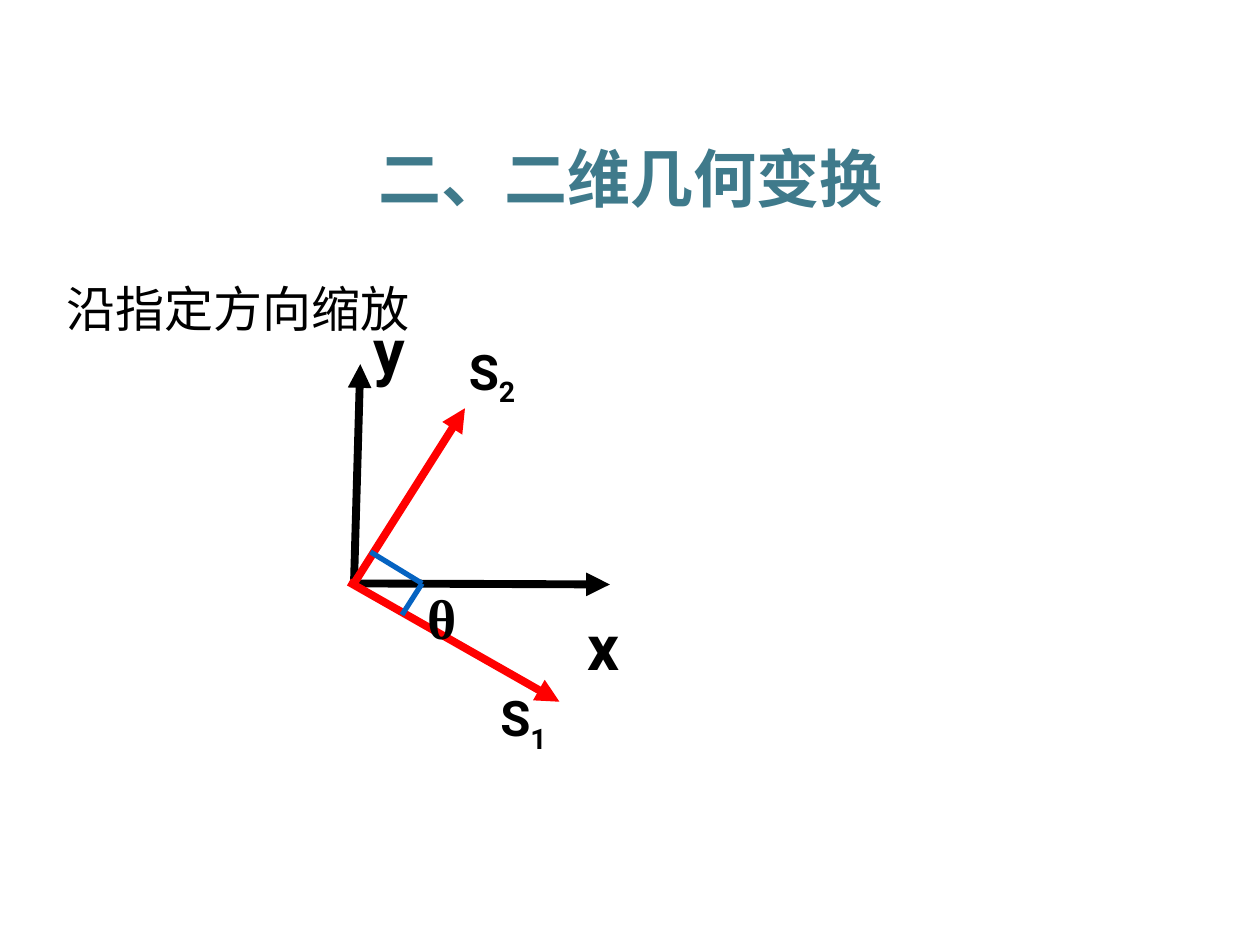
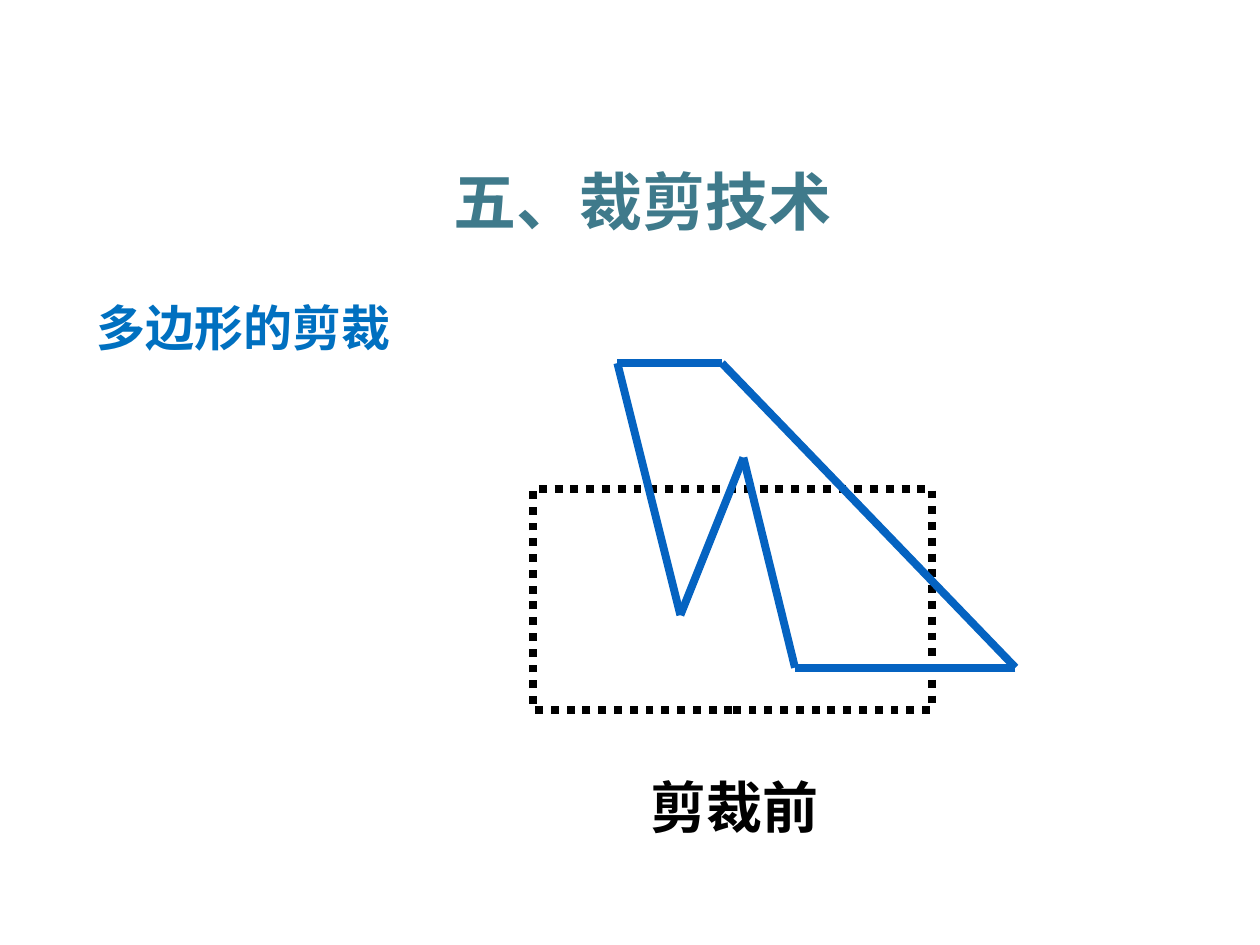
import itertools

import lxml.etree
import pptx
import pptx.dml.color
import pptx.enum.dml
import pptx.enum.shapes
import pptx.enum.text
import pptx.oxml.ns
import pptx.util

Pt = pptx.util.Pt
qn = pptx.oxml.ns.qn
ALIGN = pptx.enum.text.PP_ALIGN
ANCHOR = pptx.enum.text.MSO_ANCHOR

BLACK, RED, BLUE = "000000", "FF0000", "0563C1"
TITLE_COLOUR, HEADING_BLUE = "3F7A8B", "0070C0"
CJK, LATIN, SERIF, SANS = "Noto Sans CJK SC", "Roboto", "Times New Roman", "Arial"
THICK, THIN = 4.5, 3


def rgb(colour):
    """Turn a hex string into a colour."""
    return pptx.dml.color.RGBColor.from_string(colour)


def add_text(slide, box, text, size, font=CJK, colour=BLACK, bold=True, align=ALIGN.LEFT,
             anchor=ANCHOR.MIDDLE, wrap=True, inset=True, spacing=None, subscript=""):
    """Add one paragraph of text, with an optional subscript after it."""
    frame = slide.shapes.add_textbox(*map(Pt, box)).text_frame
    frame.word_wrap = wrap
    frame.vertical_anchor = anchor
    if not inset:
        frame.margin_left = frame.margin_right = frame.margin_top = frame.margin_bottom = 0
    paragraph = frame.paragraphs[0]
    paragraph.alignment = align
    if spacing:
        paragraph.line_spacing = spacing
    paragraph.add_run().text = text
    if subscript:
        lowered = paragraph.add_run()
        lowered.text = subscript
        lowered.font.bold = bold
        lowered._r.get_or_add_rPr().set("baseline", "-25000")
    paragraph.font.size = Pt(size)
    paragraph.font.bold = bold
    paragraph.font.color.rgb = rgb(colour)
    paragraph.font.name = font
    defaults = paragraph._p.pPr.find(qn("a:defRPr"))
    lxml.etree.SubElement(defaults, qn("a:ea")).set("typeface", CJK)


def add_line(slide, box, start, end, colour, width, arrow=False):
    """Draw a line between two points of a box, with an optional arrowhead at its end."""
    left, top = box[:2]
    line = slide.shapes.add_connector(
        pptx.enum.shapes.MSO_CONNECTOR.STRAIGHT,
        Pt(left + start[0]), Pt(top + start[1]), Pt(left + end[0]), Pt(top + end[1]))
    line.line.color.rgb = rgb(colour)
    line.line.width = Pt(width)
    if arrow:
        head = lxml.etree.SubElement(line.line._get_or_add_ln(), qn("a:tailEnd"))
        head.set("type", "triangle")
    lxml.etree.SubElement(line._element.spPr, qn("a:effectLst"))


def add_chapter_title(slide, box, title):
    """Write the centred chapter title."""
    add_text(slide, box, title, 36, colour=TITLE_COLOUR, align=ALIGN.CENTER)


def add_heading(slide, box, heading, **style):
    """Write the heading of the topic under the chapter title."""
    add_text(slide, box, heading, 28, spacing=1.2, **style)


def draw_scaling_axes(slide, box):
    """Draw the coordinate axes with the two rotated scaling directions."""
    left, top = box[:2]
    origin, s1_start = (2.3, 155.4), (-0.6, 154.6)
    arrows = [
        (origin, (5.9, 30.1), BLACK),
        (origin, (148.5, 156), BLACK),
        (origin, (65.7, 55.3), RED),
        (s1_start, (119.7, 223), RED),
    ]
    for start, tip, colour in arrows:
        add_line(slide, box, start, tip, colour, THICK, arrow=True)

    labels = [
        ("x", "", 36, (134, 169, 21.6, 43.2)),
        ("y", "", 36, (11.7, 0, 21, 43.2)),
        ("S", "2", 28, (66.4, 19.3, 29.5, 33.8)),
        ("S", "1", 28, (84.4, 217.3, 29.5, 33.8)),
    ]
    for letter, index, size, (x, y, width, height) in labels:
        add_text(slide, (left + x, top + y, width, height), letter, size, LATIN,
                 align=ALIGN.CENTER, wrap=False, inset=False, subscript=index)
    add_text(slide, (left + 37, top + 152, 46.8, 45.4), "θ", 32, SERIF,
             anchor=ANCHOR.TOP, wrap=False)

    right_angle = [(11.7, 137.4), (41.2, 155.4), (29.7, 173.4)]
    for start, end in itertools.pairwise(right_angle):
        add_line(slide, box, start, end, BLUE, THIN)


def draw_clipping(slide, box):
    """Draw the dotted clipping window, the polygon over it and the caption."""
    left, top = box[:2]
    window = slide.shapes.add_shape(
        pptx.enum.shapes.MSO_SHAPE.RECTANGLE, Pt(left), Pt(top + 72), Pt(228), Pt(126))
    window.shadow.inherit = False
    window.fill.background()
    window.line.color.rgb = rgb(BLACK)
    window.line.width = Pt(THICK)
    window.line.dash_style = pptx.enum.dml.MSO_LINE.ROUND_DOT

    polygon = [(48.3, 0), (108, 0), (275.8, 174), (149.8, 174), (120.3, 54), (84.3, 144)]
    for start, end in itertools.pairwise(polygon + polygon[:1]):
        add_line(slide, box, start, end, BLUE, THICK)

    add_text(slide, (left + 60, top + 230.3, 114, 47), "剪裁前", 32,
             anchor=ANCHOR.TOP, wrap=False)


def main():
    """Build the slides on scaling and on clipping."""
    deck = pptx.Presentation()
    deck.slide_width, deck.slide_height = Pt(720), Pt(540)
    blank = deck.slide_layouts[6]

    scaling = deck.slides.add_slide(blank)
    add_heading(scaling, (31, 140, 558, 65.5), "沿指定方向缩放", bold=False)
    draw_scaling_axes(scaling, (200, 178, 160, 254))
    add_chapter_title(scaling, (23.8, 71.3, 672.5, 59.8), "二、二维几何变换")

    clipping = deck.slides.add_slide(blank)
    add_heading(clipping, (48.2, 159.8, 613.4, 47.5), "多边形的剪裁",
                font=SANS, colour=HEADING_BLUE)
    draw_clipping(clipping, (304.5, 207.5, 276, 278))
    add_chapter_title(clipping, (31, 88.6, 672.5, 51.1), "五、裁剪技术")

    deck.save("out.pptx")


if __name__ == "__main__":
    main()
